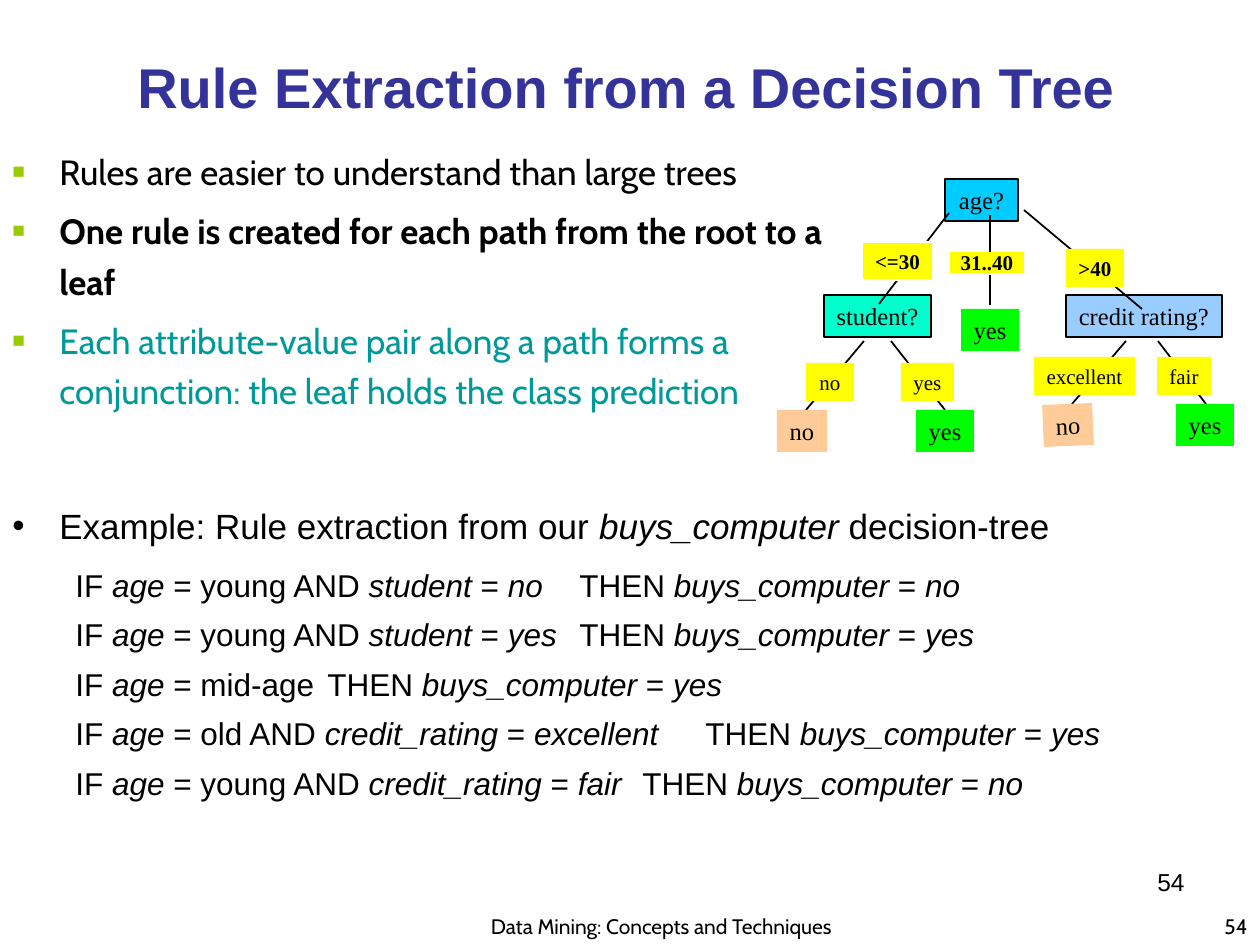
"""Build a slide on rule extraction from a decision tree."""
import dataclasses
import typing

import lxml.etree
import pptx
import pptx.dml.color
import pptx.enum.shapes
import pptx.enum.text
import pptx.oxml.ns
import pptx.util

SCALE = 914400 / 126
ALIGN = pptx.enum.text.PP_ALIGN
ANCHOR = pptx.enum.text.MSO_ANCHOR
SERIF = "Times New Roman"
HUES = {
    "black": "000000", "white": "FFFFFF", "navy": "333399", "teal": "009999",
    "lime": "99CC00", "root": "00CCFF", "mint": "00FFCC", "sky": "99CCFF",
    "test": "FFFF00", "no": "FFCC99", "yes": "00FF00",
}


@dataclasses.dataclass
class Style:
    font: str
    size: int
    hue: str = "black"
    bold: bool = False


@dataclasses.dataclass
class Node:
    text: str
    left: int
    top: int
    width: int
    fill: str
    edge: str = ""
    bold: bool = False
    tall: int = 42
    size: int = 14
    turn: float = 0


@dataclasses.dataclass
class Label:
    text: str
    left: int
    top: int
    width: int
    tall: int
    style: Style
    align: ALIGN
    anchor: ANCHOR = ANCHOR.BOTTOM


class Edge(typing.NamedTuple):
    x1: int
    y1: int
    x2: int
    y2: int


class Rule(typing.NamedTuple):
    cond: str
    stop: int
    then: str


def px(num: float) -> int:
    return round(num * SCALE)


def tint(name: str) -> pptx.dml.color.RGBColor:
    return pptx.dml.color.RGBColor.from_string(HUES[name])


def paint(run: typing.Any, style: Style) -> None:
    run.font.name = style.font
    run.font.size = pptx.util.Pt(style.size)
    run.font.bold = style.bold
    run.font.color.rgb = tint(style.hue)


def child(node: typing.Any, tag: str, **attrs: typing.Any) -> typing.Any:
    pairs = {key: str(val) for key, val in attrs.items()}
    return lxml.etree.SubElement(node, pptx.oxml.ns.qn(tag), pairs)


def add_box(slide: typing.Any, left: int, top: int, width: int, tall: int) -> typing.Any:
    box = slide.shapes.add_textbox(px(left), px(top), px(width), px(tall))
    box.text_frame.word_wrap = True
    return box.text_frame


def add_label(slide: typing.Any, item: Label) -> None:
    frame = add_box(slide, item.left, item.top, item.width, item.tall)
    frame.text = item.text
    frame.vertical_anchor = item.anchor
    para = frame.paragraphs[0]
    para.alignment = item.align
    paint(para.runs[0], item.style)


def add_node(slide: typing.Any, item: Node) -> None:
    kind = pptx.enum.shapes.MSO_SHAPE.RECTANGLE
    box = slide.shapes.add_shape(kind, px(item.left), px(item.top), px(item.width), px(item.tall))
    box.shadow.inherit = False
    box.rotation = item.turn
    box.fill.solid()
    box.fill.fore_color.rgb = tint(item.fill)
    if item.edge:
        box.line.color.rgb = tint(item.edge)
        box.line.width = pptx.util.Pt(1)
    else:
        box.line.fill.background()
    frame = box.text_frame
    frame.text = item.text
    frame.word_wrap = False
    frame.vertical_anchor = ANCHOR.MIDDLE
    frame.paragraphs[0].alignment = ALIGN.CENTER
    paint(frame.paragraphs[0].runs[0], Style(SERIF, item.size, bold=item.bold))


def add_edge(slide: typing.Any, edge: Edge) -> None:
    kind = pptx.enum.shapes.MSO_CONNECTOR.STRAIGHT
    line = slide.shapes.add_connector(kind, *map(px, edge))
    line.line.color.rgb = tint("black")
    line.line.width = pptx.util.Pt(1)
    child(line.element.spPr, "a:effectLst")


def next_para(frame: typing.Any, first: bool, gap: float, lead: float) -> typing.Any:
    para = frame.paragraphs[0] if first else frame.add_paragraph()
    para.space_before = pptx.util.Pt(0 if first else gap)
    para.line_spacing = lead
    return para


def add_mark(para: typing.Any, char: str, hue: str, size: int) -> None:
    props = para._p.get_or_add_pPr()
    props.set("marL", str(px(47)))
    props.set("indent", str(px(-47)))
    child(child(props, "a:buClr"), "a:srgbClr", val=HUES[hue])
    child(props, "a:buSzPct", val=size * 1000)
    child(props, "a:buFont", typeface="Arial")
    child(props, "a:buChar", char=char)


def add_runs(para: typing.Any, text: str, style: Style) -> None:
    for num, part in enumerate(text.split("*")):
        if part:
            run = para.add_run()
            run.text = part
            paint(run, style)
            run.font.italic = num % 2 == 1


def add_rule(frame: typing.Any, rule: Rule, gap: float) -> None:
    para = next_para(frame, False, gap, 1.1)
    props = para._p.get_or_add_pPr()
    props.set("marL", "0")
    props.set("indent", str(px(63)))
    child(props, "a:buNone")
    child(child(props, "a:tabLst"), "a:tab", pos=px(rule.stop), algn="l")
    add_runs(para, f"IF {rule.cond}\tTHEN *buys_computer* = *{rule.then}*", Style("Arial", 18))


NODES = [
    Node("age?", 945, 179, 73, "root", "black"),
    Node("student?", 824, 295, 107, "mint", "black"),
    Node("credit rating?", 1066, 295, 156, "sky", "black"),
]
EDGES = [
    Edge(949, 213, 879, 304), Edge(990, 215, 990, 253), Edge(1024, 210, 1142, 309),
    Edge(864, 341, 806, 410), Edge(891, 341, 945, 410), Edge(1126, 341, 1072, 404),
    Edge(1158, 341, 1206, 404), Edge(990, 275, 990, 305),
]
LEAVES = [
    Node("no", 777, 410, 50, "no"),
    Node("yes", 916, 410, 58, "yes"),
    Node("yes", 1176, 404, 58, "yes"),
    Node("yes", 961, 309, 58, "yes"),
    Node("no", 1043, 404, 50, "no", turn=357.6),
]
TESTS = [
    Node("<=30", 862, 242, 71, "test", "white", True, 38, 12),
    Node(">40", 1066, 249, 58, "test", "", True, 38, 12),
    Node("31..40", 950, 252, 74, "test", "", True, 21, 12),
    Node("fair", 1157, 357, 54, "test", "", False, 38, 12),
    Node("excellent", 1034, 357, 101, "test", "", False, 38, 12),
    Node("yes", 901, 363, 53, "test", "", False, 38, 12),
    Node("no", 806, 363, 48, "test", "", False, 38, 12),
]
POINTS = [
    ("Rules are easier to understand than large trees", Style("Cabin", 20)),
    ("One rule is created for each path from the root to a leaf", Style("Cabin", 20, bold=True)),
    ("Each attribute-value pair along a path forms a conjunction: "
     "the leaf holds the class prediction", Style("Cabin", 20, "teal")),
]
RULES = [
    Rule("*age* = young AND *student* = *no*", 643, "no"),
    Rule("*age* = young AND *student* = *yes*", 648, "yes"),
    Rule("*age* = mid-age", 641, "yes"),
    Rule("*age* = old AND *credit_rating* = *excellent*", 663, "yes"),
    Rule("*age* = young AND *credit_rating* = *fair*", 652, "no"),
]
LABELS = [
    Label("Rule Extraction from a Decision Tree", 21, 42, 1211, 84,
          Style("Arial", 32, "navy", True), ALIGN.CENTER),
    Label("Data Mining: Concepts and Techniques", 462, 892, 399, 53,
          Style("Cabin", 12), ALIGN.CENTER),
    Label("54", 998, 892, 262, 53, Style("Cabin", 12), ALIGN.RIGHT),
    Label("54", 903, 861, 294, 66, Style("Arial", 14), ALIGN.RIGHT, ANCHOR.TOP),
]


def main() -> None:
    deck = pptx.Presentation()
    deck.slide_width, deck.slide_height = px(1260), px(945)
    slide = deck.slides.add_slide(deck.slide_layouts[6])
    for item in LABELS:
        add_label(slide, item)
    for node in NODES:
        add_node(slide, node)
    for edge in EDGES:
        add_edge(slide, edge)
    for node in LEAVES + TESTS:
        add_node(slide, node)
    frame = add_box(slide, 0, 136, 840, 368)
    for num, (text, style) in enumerate(POINTS):
        para = next_para(frame, num == 0, 5, 1.2)
        add_mark(para, "■", "lime", 60)
        add_runs(para, text, style)
    frame = add_box(slide, 0, 494, 1207, 325)
    para = next_para(frame, True, 5, 1.1)
    add_mark(para, "•", "black", 100)
    add_runs(para, "Example: Rule extraction from our *buys_computer* decision-tree", Style("Arial", 20))
    for num, rule in enumerate(RULES):
        add_rule(frame, rule, 4.5 if num else 9)
    deck.save("out.pptx")


if __name__ == "__main__":
    main()
